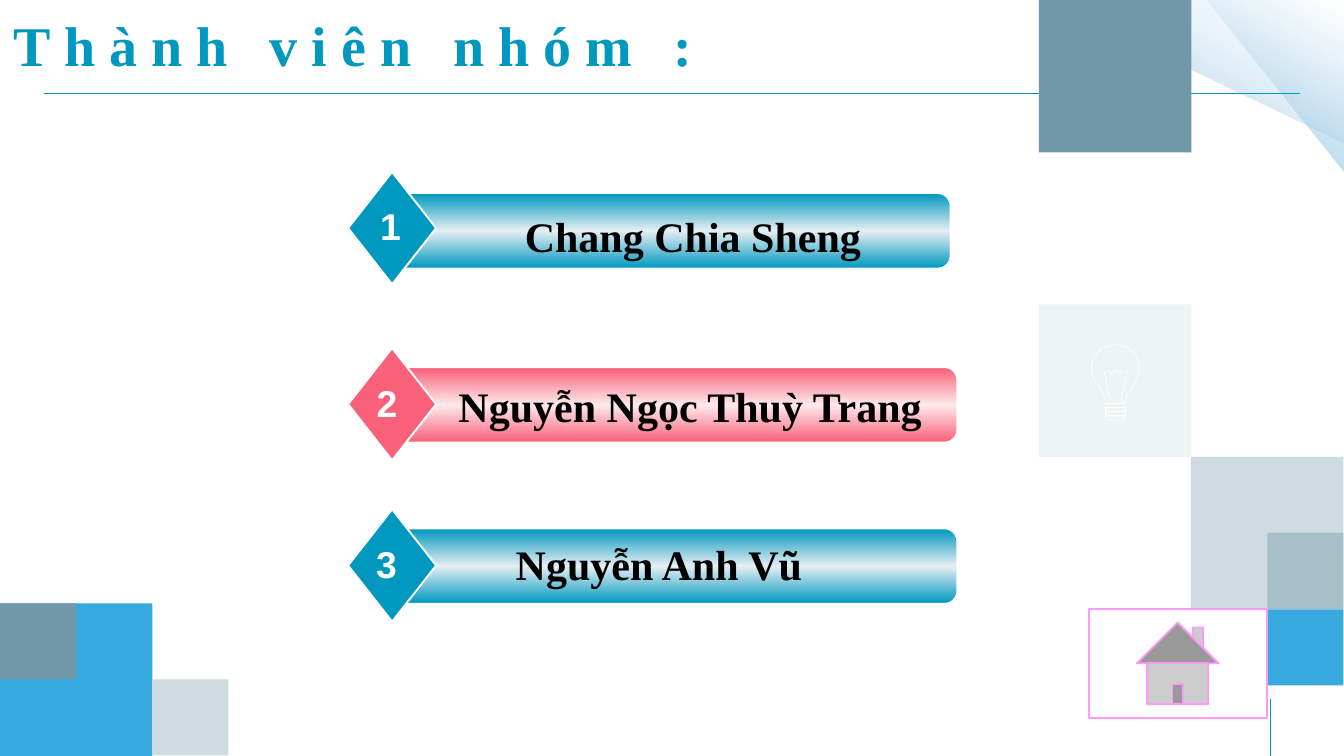
from math import cos, pi, sin

from lxml.etree import SubElement
from pptx import Presentation
from pptx.dml.color import RGBColor
from pptx.enum.shapes import MSO_CONNECTOR, MSO_SHAPE
from pptx.enum.text import MSO_ANCHOR, MSO_AUTO_SIZE, PP_ALIGN
from pptx.oxml.ns import qn
from pptx.util import Inches, Pt

TEAL = RGBColor(0x00, 0x98, 0xBF)
PINK = RGBColor(0xF9, 0x61, 0x7A)
PALE_TEAL = RGBColor(0xE6, 0xEE, 0xF3)
PALE_PINK = RGBColor(0xFE, 0xE9, 0xEB)
BLUE = RGBColor(0x37, 0xA9, 0xDD)
SLATE = RGBColor(0x71, 0x98, 0xA9)
MIST = RGBColor(0xCE, 0xDB, 0xE0)
SKY = RGBColor(0x8F, 0xC8, 0xE8)
SOFT_SKY = RGBColor(0xA4, 0xCE, 0xE9)
PALE_SKY = RGBColor(0xDE, 0xED, 0xF6)
VIOLET = RGBColor(0xFF, 0x99, 0xFF)
WHITE = RGBColor(0xFF, 0xFF, 0xFF)
BLACK = RGBColor(0x00, 0x00, 0x00)

SERIF = "Times New Roman"
SANS = "Arial"
LARGE, SMALL = 2.27, 1.13
BULB_X, BULB_Y, BULB_RADIUS = 16.6, 5.49, 0.36


class SlideBuilder:
    def __init__(self, slide):
        self.slide = slide
        self.shapes = slide.shapes

    def set_opacity(self, color_element, percent):
        SubElement(color_element, qn("a:alpha")).set("val", str(percent * 1000))

    def set_line(self, shape, color, width):
        if color is None:
            shape.line.fill.background()
        else:
            shape.line.color.rgb = color
            shape.line.width = Pt(width)

    def add_shape(self, kind, left, top, width, height, fill, line=None, line_width=1, opacity=100):
        shape = self.shapes.add_shape(kind, Inches(left), Inches(top), Inches(width), Inches(height))
        shape.shadow.inherit = False
        shape.fill.solid()
        shape.fill.fore_color.rgb = fill
        if opacity < 100:
            self.set_opacity(shape._element.spPr.find(".//" + qn("a:srgbClr")), opacity)
        self.set_line(shape, line, line_width)
        return shape

    def set_gradient(self, shape, stops, angle):
        shape.fill.gradient()
        gradient = shape._element.spPr.find(qn("a:gradFill"))
        gradient.set("rotWithShape", "1")
        stop_list = gradient.find(qn("a:gsLst"))
        for old_stop in list(stop_list):
            stop_list.remove(old_stop)
        for position, color, opacity in stops:
            stop = SubElement(stop_list, qn("a:gs"))
            stop.set("pos", str(position * 1000))
            color_element = SubElement(stop, qn("a:srgbClr"))
            color_element.set("val", str(color))
            if opacity < 100:
                self.set_opacity(color_element, opacity)
        direction = gradient.find(qn("a:lin"))
        direction.set("ang", str(angle * 60000))
        direction.set("scaled", "0")

    def add_corner(self, left, top, width, height):
        corner = self.add_shape(MSO_SHAPE.RIGHT_TRIANGLE, left, top, width, height, SKY)
        corner.rotation = 180
        self.set_gradient(corner, [(0, SKY, 100), (50, SOFT_SKY, 44), (100, PALE_SKY, 0)], 120)

    def add_square(self, left, top, size, color, opacity=100):
        self.add_shape(MSO_SHAPE.RECTANGLE, left, top, size, size, color, opacity=opacity)

    def add_line(self, start, end, color, width):
        line = self.shapes.add_connector(MSO_CONNECTOR.STRAIGHT, *map(Inches, start + end))
        line.line.color.rgb = color
        line.line.width = Pt(width)
        SubElement(line._element.spPr, qn("a:effectLst"))

    def add_outline(self, points, close=False):
        corners = [(Inches(x), Inches(y)) for x, y in points]
        builder = self.shapes.build_freeform(*corners[0])
        builder.add_line_segments(corners[1:], close=close)
        outline = builder.convert_to_shape()
        outline.shadow.inherit = False
        outline.fill.background()
        self.set_line(outline, WHITE, 0.75)

    def add_bulb(self):
        left, right = BULB_X - 0.15, BULB_X + 0.14
        for top in (6.12, 6.06):
            bottom = top + 0.06
            self.add_outline([(left, top), (right, top), (right, bottom), (left, bottom)], close=True)
        self.add_outline([(left, 6.19), (16.47, 6.23), (16.59, 6.27), (16.61, 6.27),
                          (16.72, 6.23), (right, 6.19)], close=True)
        neck = [(0.35, 5.56), (0.31, 5.66), (0.26, 5.74), (0.19, 5.85), (0.15, 5.95), (0.14, 5.99)]
        dome = [(BULB_X - BULB_RADIUS * cos(step * pi / 24), BULB_Y - BULB_RADIUS * sin(step * pi / 24))
                for step in range(25)]
        left_neck = [(BULB_X - offset, y) for offset, y in reversed(neck)]
        right_neck = [(BULB_X + offset, y) for offset, y in neck]
        self.add_outline(left_neck + dome + right_neck)
        for side in (-1, 1):
            self.add_outline([(BULB_X + side * 0.08, 5.99), (BULB_X + side * 0.17, 5.52)])
        self.add_outline([(16.47, 5.51), (16.53, 5.56), (16.6, 5.5), (16.67, 5.56), (16.72, 5.51)])
        self.add_line((left, 6), (right, 6), WHITE, 0.75)

    def format_text(self, para, font, size, color):
        for span in para.runs:
            span.font.name = font
            span.font.size = Pt(size)
            span.font.bold = True
            span.font.color.rgb = color

    def add_text(self, text, left, top, width, height, font, size, color):
        box = self.shapes.add_textbox(Inches(left), Inches(top), Inches(width), Inches(height))
        box.text_frame.word_wrap = True
        box.text_frame.text = text
        para = box.text_frame.paragraphs[0]
        para.alignment = PP_ALIGN.CENTER
        self.format_text(para, font, size, color)

    def set_title(self, text):
        title = self.shapes.title
        title.left, title.top = Inches(0), Inches(-0.01)
        title.width, title.height = Inches(11.08), Inches(1.36)
        frame = title.text_frame
        frame.text = text
        frame.word_wrap = True
        frame.auto_size = MSO_AUTO_SIZE.NONE
        frame.vertical_anchor = MSO_ANCHOR.BOTTOM
        frame.margin_left = frame.margin_right = Inches(0.2)
        frame.margin_top = frame.margin_bottom = Inches(0.2)
        para = frame.paragraphs[0]
        para.alignment = PP_ALIGN.LEFT
        self.format_text(para, SERIF, 60, TEAL)
        para.runs[0].font._element.set("spc", "1500")

    def add_member(self, number, name, color, pale, bar_at, diamond_top, number_at, name_at):
        bar = self.add_shape(MSO_SHAPE.ROUNDED_RECTANGLE, *bar_at, 8.33, 1.11, color, WHITE, 1)
        self.set_gradient(bar, [(0, color, 100), (50, pale, 100), (100, color, 100)], 90)
        self.add_shape(MSO_SHAPE.DIAMOND, 5.18, diamond_top, 1.31, 1.67, color, WHITE, 2)
        self.add_text(str(number), *number_at, 0.66, 0.77, SANS, 40, WHITE)
        self.add_text(name, *name_at, 0.86, SERIF, 45, BLACK)


def main():
    deck = Presentation()
    deck.slide_width, deck.slide_height = Inches(20), Inches(11.25)
    page = SlideBuilder(deck.slides.add_slide(deck.slide_layouts[5]))

    page.add_corner(17.96, 0, 2.04, 2.57)
    page.add_corner(15.54, 0, 4.48, 2.13)
    page.add_line((0.66, 1.39), (19.34, 1.39), TEAL, 1)
    page.add_line((18.91, 11.25), (18.91, 10.4), TEAL, 1)

    page.add_square(15.46, 4.53, LARGE, MIST, 33)
    page.add_square(17.72, 6.8, LARGE, MIST)
    page.add_square(15.46, 0, LARGE, SLATE)
    page.add_square(0, 8.98, LARGE, BLUE)
    page.add_square(2.27, 10.11, SMALL, MIST)
    page.add_square(0, 8.98, SMALL, SLATE)
    page.add_square(18.86, 9.07, SMALL, BLUE)
    page.add_square(18.86, 7.93, SMALL, SLATE, 41)
    page.add_bulb()

    page.set_title("Thành viên nhóm :")
    members = [
        ("Chang Chia Sheng", TEAL, PALE_TEAL, (5.81, 2.88), 2.56, (5.48, 2.97), (6.65, 3.09, 7.32)),
        ("Nguyễn Ngọc Thuỳ Trang", PINK, PALE_PINK, (5.91, 5.47), 5.18, (5.43, 5.61), (6.3, 5.62, 7.94)),
        ("Nguyễn Anh Vũ", TEAL, PALE_TEAL, (5.91, 7.87), 7.58, (5.42, 8.01), (6.52, 7.97, 6.57)),
    ]
    for number, member in enumerate(members, start=1):
        page.add_member(number, *member)
    page.add_shape(MSO_SHAPE.ACTION_BUTTON_HOME, 16.2, 9.06, 2.65, 1.62, WHITE, VIOLET, 2)

    deck.save("out.pptx")


if __name__ == "__main__":
    main()
